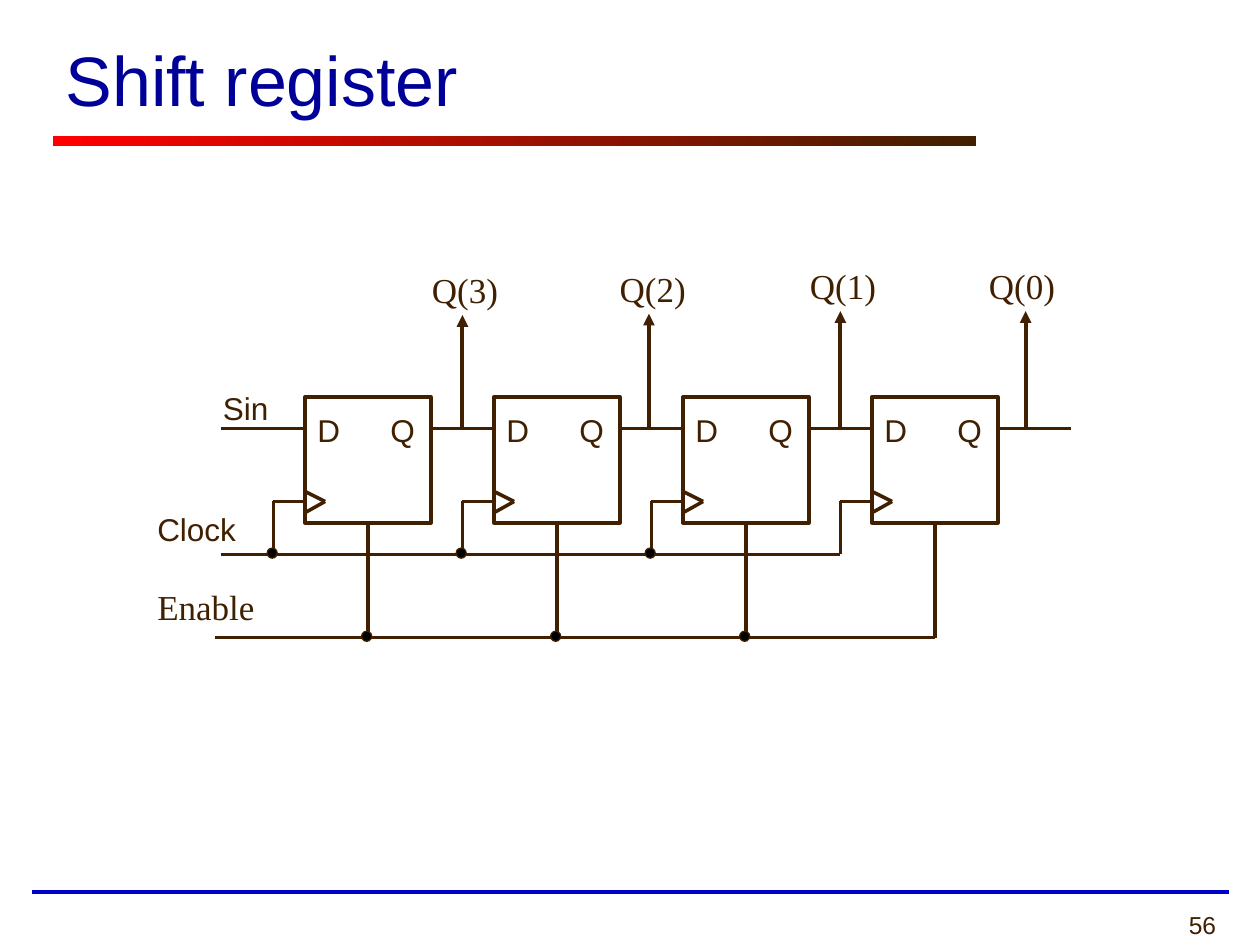
from pptx import Presentation
from pptx.dml.color import RGBColor
from pptx.enum.shapes import MSO_CONNECTOR, MSO_SHAPE
from pptx.enum.text import MSO_ANCHOR, MSO_AUTO_SIZE, PP_ALIGN
from pptx.oxml.ns import qn
from pptx.util import Inches, Pt
from lxml import etree

STRAIGHT = MSO_CONNECTOR.STRAIGHT
RECTANGLE, OVAL = MSO_SHAPE.RECTANGLE, MSO_SHAPE.OVAL
LEFT, RIGHT = PP_ALIGN.LEFT, PP_ALIGN.RIGHT
MIDDLE = MSO_ANCHOR.MIDDLE
FIT_TEXT = MSO_AUTO_SIZE.SHAPE_TO_FIT_TEXT

BROWN = RGBColor(0x40, 0x20, 0x00)
RED = RGBColor(0xFF, 0x00, 0x00)
NAVY = RGBColor(0x00, 0x00, 0x99)
BLUE = RGBColor(0x00, 0x00, 0xCC)
BLACK = RGBColor(0x00, 0x00, 0x00)
SANS, SERIF = "Arial", "Times New Roman"

STAGE_COUNT, STAGE_PITCH, STAGE_SIZE = 4, 1.5, 1
DATA_OFFSET, CLOCK_OFFSET = 0.25, 0.83
CLOCK_BUS, ENABLE_BUS = 1.25, 1.91
OUTPUTS = [
    ("Q(3)", 1.25, 0.91, -0.65),
    ("Q(2)", 2.73, 2.4, -0.66),
    ("Q(1)", 4.25, 3.91, -0.68),
    ("Q(0)", 5.72, 5.33, -0.68),
]


def format_font(paragraph, size, name, color):
    for run in paragraph.runs:
        run.font.size = Pt(size)
        run.font.name = name
        run.font.color.rgb = color


def add_line(shapes, start, end, width=2, color=BROWN, arrow=False):
    line = shapes.add_connector(STRAIGHT, *map(Inches, start + end))
    line.line.color.rgb = color
    line.line.width = Pt(width)
    properties = line._element.spPr
    if arrow:
        outline = line.line._get_or_add_ln()
        etree.SubElement(outline, qn("a:tailEnd"), type="triangle")
    etree.SubElement(properties, qn("a:effectLst"))
    return line


def add_label(shapes, text, left, top, width, height=0.4, size=18, font=SANS):
    label = shapes.add_textbox(*map(Inches, (left, top, width, height)))
    frame = label.text_frame
    frame.text = text
    frame.word_wrap = False
    frame.auto_size = FIT_TEXT
    format_font(frame.paragraphs[0], size, font, BROWN)
    return label


def add_dot(shapes, center_x, center_y, size=0.08):
    box = (center_x - size / 2, center_y - size / 2, size, size)
    dot = shapes.add_shape(OVAL, *map(Inches, box))
    dot.shadow.inherit = False
    dot.fill.solid()
    dot.fill.fore_color.rgb = BLACK
    dot.line.color.rgb = BROWN
    dot.line.width = Pt(0.75)


def add_title(slide, left, top, width, height):
    title = slide.shapes.title
    title.left, title.top = Inches(left), Inches(top)
    title.width, title.height = Inches(width), Inches(height)
    frame = title.text_frame
    frame.text = "Shift register"
    frame.vertical_anchor = MIDDLE
    frame.paragraphs[0].alignment = LEFT
    format_font(frame.paragraphs[0], 40, SANS, NAVY)

    bar = slide.shapes.add_shape(
        RECTANGLE, Inches(left), Inches(top + 1.08), Inches(7.33), Inches(0.08))
    bar.shadow.inherit = False
    bar.line.fill.background()
    bar.fill.gradient()
    bar.fill.gradient_angle = 0
    for stop, color in zip(bar.fill.gradient_stops, (RED, BROWN)):
        stop.color.rgb = color


def add_footer(slide, left, top, width):
    right = left + width
    add_line(slide.shapes, (left, top), (right, top), 2.25, BLUE)
    number = add_label(slide.shapes, "56", right - 2.17, top + 0.09, 2.17, 0.33, 14)
    number.text_frame.word_wrap = True
    number.text_frame.paragraphs[0].alignment = RIGHT


def add_flip_flop(slide, left, top, size):
    shapes = slide.shapes.add_group_shape().shapes
    body = shapes.add_shape(RECTANGLE, *map(Inches, (left, top, size, size)))
    body.shadow.inherit = False
    body.fill.background()
    body.line.color.rgb = BROWN
    body.line.width = Pt(2)
    add_label(shapes, "D", left, top + 0.06, 0.38)
    add_label(shapes, "Q", left + 0.58, top + 0.06, 0.4)
    tip = (left + 0.16, top + CLOCK_OFFSET)
    add_line(shapes, (left, top + 0.75), tip)
    add_line(shapes, tip, (left, top + 0.92))
    return body


def add_stage(slide, index, left, top, size):
    shapes = slide.shapes
    body = add_flip_flop(slide, left, top, size)
    data_y, clock_y = top + DATA_OFFSET, top + CLOCK_OFFSET
    clock_bus, enable_bus = top + CLOCK_BUS, top + ENABLE_BUS
    lead = 0.67 if index == 0 else STAGE_PITCH - size
    clock_x, enable_x = left - 0.25, left + size / 2

    add_line(shapes, (left - lead, data_y), (left, data_y))
    add_line(shapes, (left, clock_y), (clock_x, clock_y))
    add_line(shapes, (clock_x, clock_y), (clock_x, clock_bus))
    enable = add_line(shapes, (enable_x, top + size), (enable_x, enable_bus), 2.25)
    enable.begin_connect(body, 2)
    if index < STAGE_COUNT - 1:
        add_dot(shapes, clock_x - 0.01, clock_bus - 0.01)
        add_dot(shapes, enable_x - 0.01, enable_bus - 0.01)


def add_register(slide, left, top):
    shapes = slide.shapes
    data_y = top + DATA_OFFSET
    clock_bus, enable_bus = top + CLOCK_BUS, top + ENABLE_BUS
    last = left + (STAGE_COUNT - 1) * STAGE_PITCH

    add_line(shapes, (left - 0.67, clock_bus), (last - 0.25, clock_bus))
    add_line(shapes, (left - 0.71, enable_bus), (last + 0.5, enable_bus))
    add_line(shapes, (last + STAGE_SIZE, data_y), (last + 1.58, data_y))
    for index in range(STAGE_COUNT):
        add_stage(slide, index, left + index * STAGE_PITCH, top, STAGE_SIZE)

    add_label(shapes, "Sin", left - 0.75, top - 0.11, 0.56)
    add_label(shapes, "Clock", left - 1.27, top + 0.85, 0.83)
    add_label(shapes, "Enable", left - 1.27, top + 1.45, 0.97, 0.43, 20, SERIF)
    for text, arrow_x, label_x, tip_y in OUTPUTS:
        add_line(shapes, (left + arrow_x, data_y),
                 (left + arrow_x, top + tip_y), 2.25, arrow=True)
        add_label(shapes, text, left + label_x, top + tip_y - 0.42,
                  0.73, 0.43, 20, SERIF)


def main():
    presentation = Presentation()
    presentation.slide_width = Inches(10)
    presentation.slide_height = Inches(7.5)
    slide = presentation.slides.add_slide(presentation.slide_layouts[5])
    add_title(slide, 0.42, 0, 9.17, 1.25)
    add_footer(slide, 0.25, 7.08, 9.5)
    add_register(slide, 2.42, 3.15)
    presentation.save("out.pptx")


if __name__ == "__main__":
    main()
